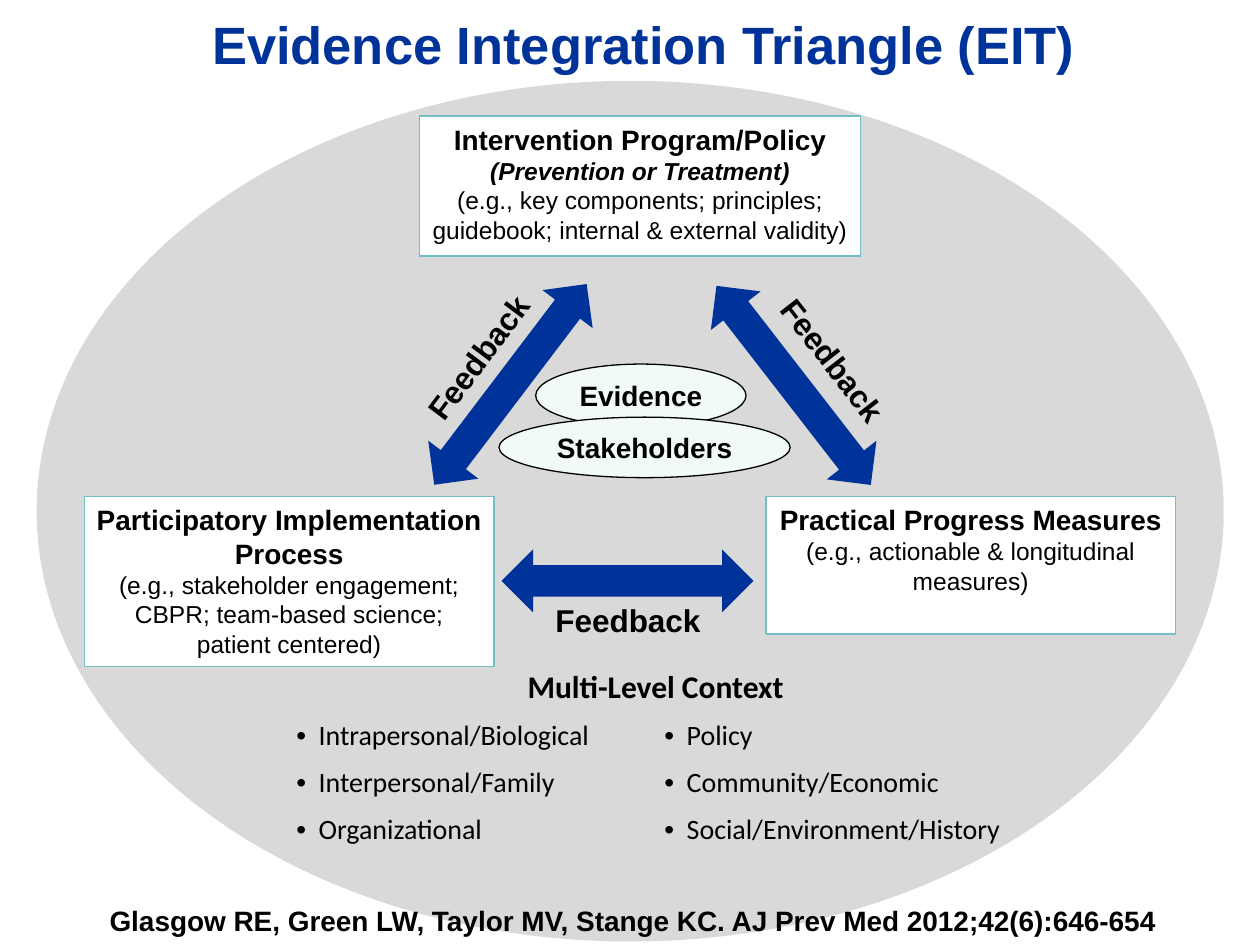
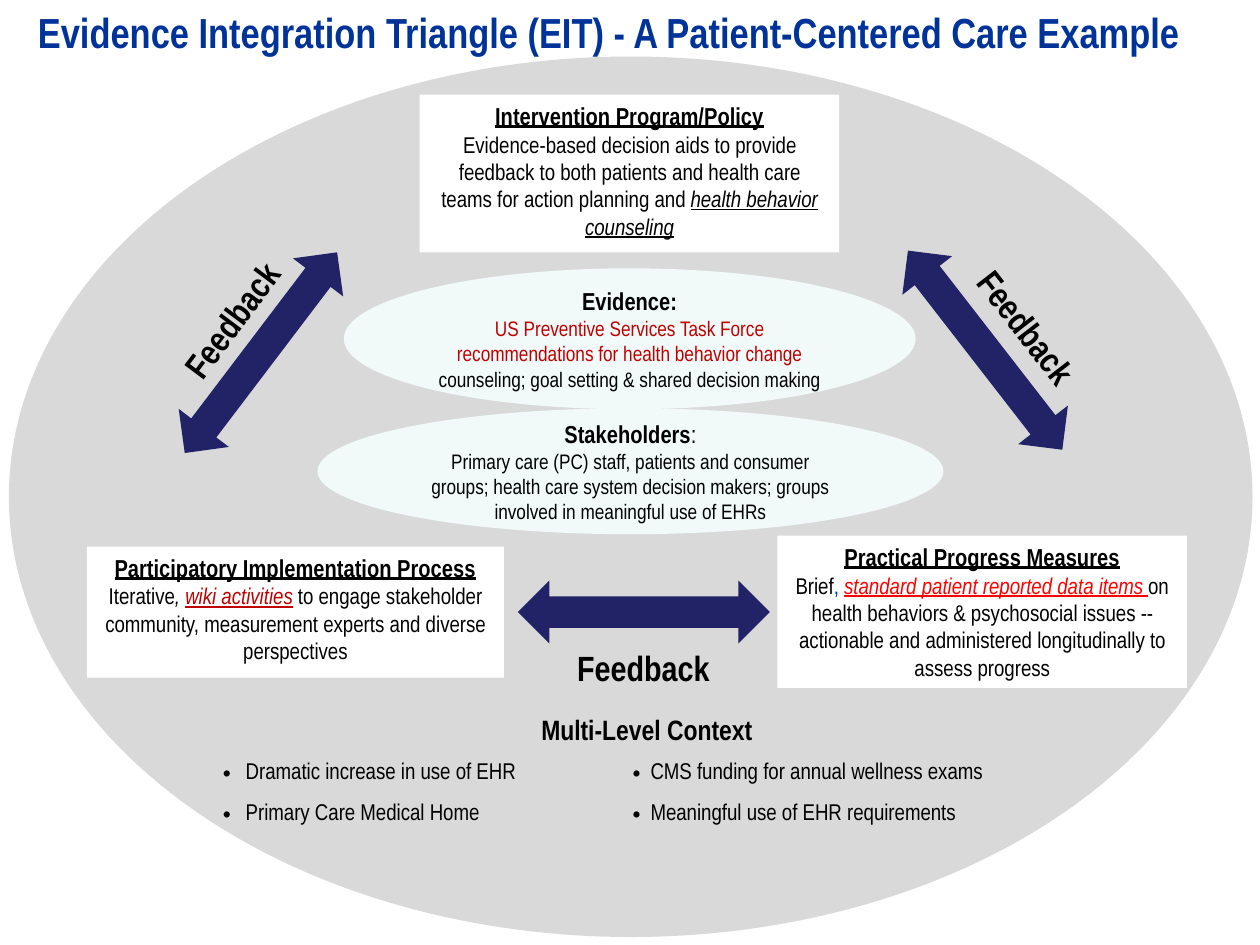
from lxml import etree
from pptx import Presentation
from pptx.dml.color import RGBColor
from pptx.enum.shapes import MSO_SHAPE
from pptx.enum.text import MSO_ANCHOR, MSO_AUTO_SIZE, PP_ALIGN
from pptx.oxml.ns import qn
from pptx.util import Cm, Pt

OVAL, RECT, ARROW = MSO_SHAPE.OVAL, MSO_SHAPE.RECTANGLE, MSO_SHAPE.UP_DOWN_ARROW
LEFT, CENTER = PP_ALIGN.LEFT, PP_ALIGN.CENTER
TOP, MIDDLE = MSO_ANCHOR.TOP, MSO_ANCHOR.MIDDLE

BLACK, WHITE = "000000", "FFFFFF"
BLUE, NAVY = "003399", "222267"
GRAY, MINT, TEAL = "D9D9D9", "F1F9F9", "72BFC5"
DARK_RED, RED = "C00000", "FF0000"
TITLE_ONLY = 5
PLAIN_TABLE = "{2D5ABB26-0587-4C30-8999-92F81FD0307C}"
ARROW_SIZE = (1.27, 5.08)
FEEDBACK_ANGLES = ((37.2, 306.8), (90, 0), (322.2, 52.2))


def colour(hex_code):
    return RGBColor.from_string(hex_code)


def lengths(box):
    return [Cm(value) for value in box]


def centred(centre, size):
    return (centre[0] - size[0] / 2, centre[1] - size[1] / 2, *size)


def span(text, size, marks="", ink=BLACK):
    return text, size, marks, ink


def add_span(para, font_name, text, size, marks, ink):
    run = para.add_run()
    run.text = text
    run.font.name = font_name
    run.font.size = Pt(size)
    run.font.bold = "b" in marks
    run.font.italic = "i" in marks
    run.font.underline = "u" in marks
    run.font.color.rgb = colour(ink)


def write(frame, paras, font_name, align=CENTER, anchor=TOP):
    frame.word_wrap = True
    frame.auto_size = MSO_AUTO_SIZE.NONE
    frame.vertical_anchor = anchor
    for index, spans in enumerate(paras):
        para = frame.add_paragraph() if index else frame.paragraphs[0]
        para.alignment = align
        for part in spans:
            add_span(para, font_name, *part)


def add_figure(page, kind, box, fill, line=None, angle=0):
    shape = page.shapes.add_shape(kind, *lengths(box))
    shape.shadow.inherit = False
    shape.rotation = angle
    shape.fill.solid()
    shape.fill.fore_color.rgb = colour(fill)
    if line:
        shape.line.color.rgb = colour(line)
        shape.line.width = Pt(0.75)
    else:
        shape.line.fill.background()
    return shape


def add_label(page, box, paras, font_name, align=CENTER, angle=0):
    label = page.shapes.add_textbox(*lengths(box))
    label.rotation = angle
    write(label.text_frame, paras, font_name, align)


def add_corner(page, box, paras, font_name, line=None):
    corner = add_figure(page, RECT, box, WHITE, line)
    write(corner.text_frame, paras, font_name)


def add_core(page, box, paras, font_name, line=None):
    frame = add_figure(page, OVAL, box, MINT, line).text_frame
    frame.margin_left = frame.margin_right = 0
    frame.margin_top = frame.margin_bottom = 0
    write(frame, paras, font_name, anchor=MIDDLE)


def add_feedback(page, places, label_size, text_size, font_name, fill):
    for (arrow_angle, label_angle), place in zip(FEEDBACK_ANGLES, places):
        arrow_centre, label_centre, align = place
        add_figure(page, ARROW, centred(arrow_centre, ARROW_SIZE), fill, angle=arrow_angle)
        add_label(page, centred(label_centre, label_size),
                  [[span("Feedback", text_size, "b")]], font_name, align, label_angle)


def add_bullet(para, hang):
    props = para._p.get_or_add_pPr()
    props.set("marL", str(Cm(hang)))
    props.set("indent", str(-Cm(hang)))
    etree.SubElement(props, qn("a:buFont")).set("typeface", "Arial")
    etree.SubElement(props, qn("a:buChar")).set("char", "•")


def add_context(page, box, widths, heights, hangs, sizes, items, font_name):
    holder = page.shapes.add_table(len(heights), len(widths), *lengths(box))
    holder.element.find(".//" + qn("a:tableStyleId")).text = PLAIN_TABLE
    table = holder.table
    table.first_row = table.horz_banding = False
    for column, width in zip(table.columns, widths):
        column.width = Cm(width)
    for row, height in zip(table.rows, heights):
        row.height = Cm(height)
    for cell in table.iter_cells():
        cell.fill.background()
    heading = table.cell(0, 0)
    heading.merge(table.cell(0, 1))
    heading_para = heading.text_frame.paragraphs[0]
    heading_para.alignment = CENTER
    add_span(heading_para, font_name, *span("Multi-Level Context", sizes[0], "b"))
    for row_index, texts in enumerate(items, 1):
        for column_index, text in enumerate(texts):
            para = table.cell(row_index, column_index).text_frame.paragraphs[0]
            add_bullet(para, hangs[column_index])
            add_span(para, font_name, *span(text, sizes[1]))


def add_title(page, box, text, size, font_name, align):
    title = page.shapes.title
    title.left, title.top, title.width, title.height = lengths(box)
    write(title.text_frame, [[span(text, size, "b", BLUE)]], font_name, align, MIDDLE)
    page.shapes.element.append(title.element)


def build_overview(deck):
    page = deck.slides.add_slide(deck.slide_layouts[TITLE_ONLY])
    font_name = "Arial"
    add_figure(page, OVAL, (0.74, 1.63, 23.93, 17.35), GRAY)
    add_feedback(page, (((10.29, 7.75), (9.77, 7.01), LEFT),
                        ((12.65, 11.71), (12.66, 12.5), CENTER),
                        ((16, 7.77), (16.93, 7.44), LEFT)),
                 (3.89, 1.02), 18, font_name, BLUE)
    add_corner(page, (1.7, 10.01, 8.26, 3.43), [
        [span("Participatory Implementation Process", 16, "b")],
        [span("(e.g., stakeholder engagement; CBPR; team-based science; patient centered)", 14)],
    ], font_name, TEAL)
    add_corner(page, (15.44, 10.01, 8.26, 2.77), [
        [span("Practical Progress Measures", 16, "b")],
        [span("(e.g., actionable & longitudinal measures)", 14)],
    ], font_name, TEAL)
    add_corner(page, (8.46, 2.34, 8.89, 2.82), [
        [span("Intervention Program/Policy", 16, "b")],
        [span("(Prevention or Treatment)", 14, "bi")],
        [span("(e.g., key components; principles; guidebook; internal & external validity)", 14)],
    ], font_name, TEAL)
    add_context(page, (5.72, 13.34, 14.99, 3.84), (7.42, 7.57),
                (1.02, 0.94, 0.94, 0.94), (0.45, 0.45), (18, 16),
                (("Intrapersonal/Biological", "Policy"),
                 ("Interpersonal/Family", "Community/Economic"),
                 ("Organizational", "Social/Environment/History")), "Calibri")
    add_core(page, (10.8, 7.34, 4.24, 1.27), [[span("Evidence", 16, "b")]], font_name, BLACK)
    add_core(page, (10.06, 8.41, 5.87, 1.22), [[span("Stakeholders", 16, "b")]], font_name, BLACK)
    citation = "Glasgow RE, Green LW, Taylor MV, Stange KC. AJ Prev Med 2012;42(6):646-654"
    add_label(page, (1.96, 18.08, 21.77, 0.94), [[span(citation, 16, "b")]], font_name, LEFT)
    add_title(page, (2.82, -0.71, 20.32, 3.18),
              "Evidence Integration Triangle (EIT)", 30, font_name, CENTER)


def build_care_example(deck):
    page = deck.slides.add_slide(deck.slide_layouts[TITLE_ONLY])
    font_name = "Arial Narrow"
    add_figure(page, OVAL, (0.18, 1.14, 25.07, 17.75), GRAY)
    add_feedback(page, (((5.26, 7.11), (4.67, 6.45), CENTER),
                        ((12.98, 12.34), (12.97, 13.46), CENTER),
                        ((19.86, 7.06), (20.69, 6.6), CENTER)),
                 (3.89, 1.12), 20, font_name, NAVY)
    add_corner(page, (1.75, 11.02, 8.41, 2.64), [
        [span("Participatory Implementation Process", 14, "bu")],
        [span("Iterative", 13), span(", ", 13, "i"),
         span("wiki activities", 13, "iu", DARK_RED), span(" ", 13, "i", DARK_RED),
         span("to engage stakeholder community, measurement experts and diverse perspectives", 13)],
    ], font_name)
    add_corner(page, (15.67, 10.8, 8.26, 3.07), [
        [span("Practical Progress Measures", 14, "bu")],
        [span("Brief", 13), span(", ", 13, "", BLUE),
         span("standard patient reported data items ", 13, "iu", RED),
         span("on health behaviors & psychosocial issues -- actionable and "
              "administered longitudinally to assess progress", 13)],
    ], font_name)
    add_corner(page, (8.46, 1.91, 8.46, 3.18), [
        [span("Intervention Program/Policy", 14, "bu")],
        [span("Evidence-based decision aids to provide feedback to both patients "
              "and health care teams for action planning and ", 13),
         span("health behavior counseling", 13, "iu")],
    ], font_name)
    add_context(page, (4.24, 14.38, 17.6, 2.5), (8.26, 9.34),
                (0.88, 0.81, 0.81), (0.46, 0.36), (16, 13),
                (("Dramatic increase in use of EHR", "CMS funding for annual wellness exams"),
                 ("Primary Care Medical Home", "Meaningful use of EHR requirements")), font_name)
    add_core(page, (6.93, 5.41, 11.53, 2.84), [
        [span("Evidence:", 14, "b")],
        [span("US Preventive Services Task Force recommendations for health behavior change ",
              12, "", DARK_RED),
         span("counseling; goal setting & shared decision making", 12)],
    ], font_name)
    add_core(page, (6.4, 8.23, 12.62, 2.54), [
        [span("Stakeholders", 14, "b"), span(":", 14)],
        [span("Primary care (PC) staff, patients and consumer", 12)],
        [span("groups; health care system decision makers; groups "
              "involved in meaningful use of EHRs", 12)],
    ], font_name)
    add_title(page, (0.51, -0.15, 24.26, 1.57),
              "Evidence Integration Triangle (EIT) - A Patient-Centered Care Example",
              24, font_name, LEFT)


def main():
    deck = Presentation()
    deck.slide_width, deck.slide_height = Cm(25.4), Cm(19.05)
    build_overview(deck)
    build_care_example(deck)
    deck.save("out.pptx")


if __name__ == "__main__":
    main()
